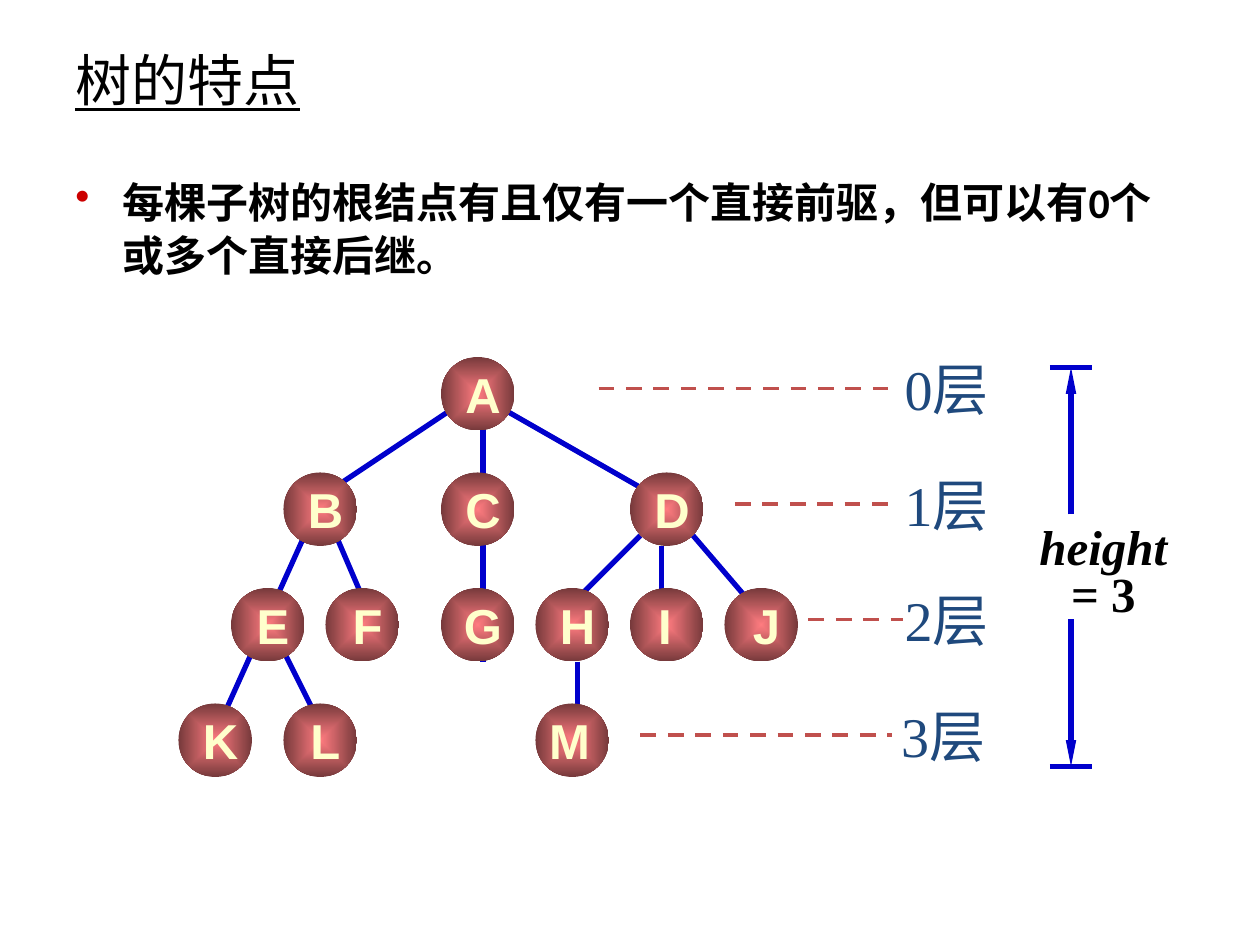
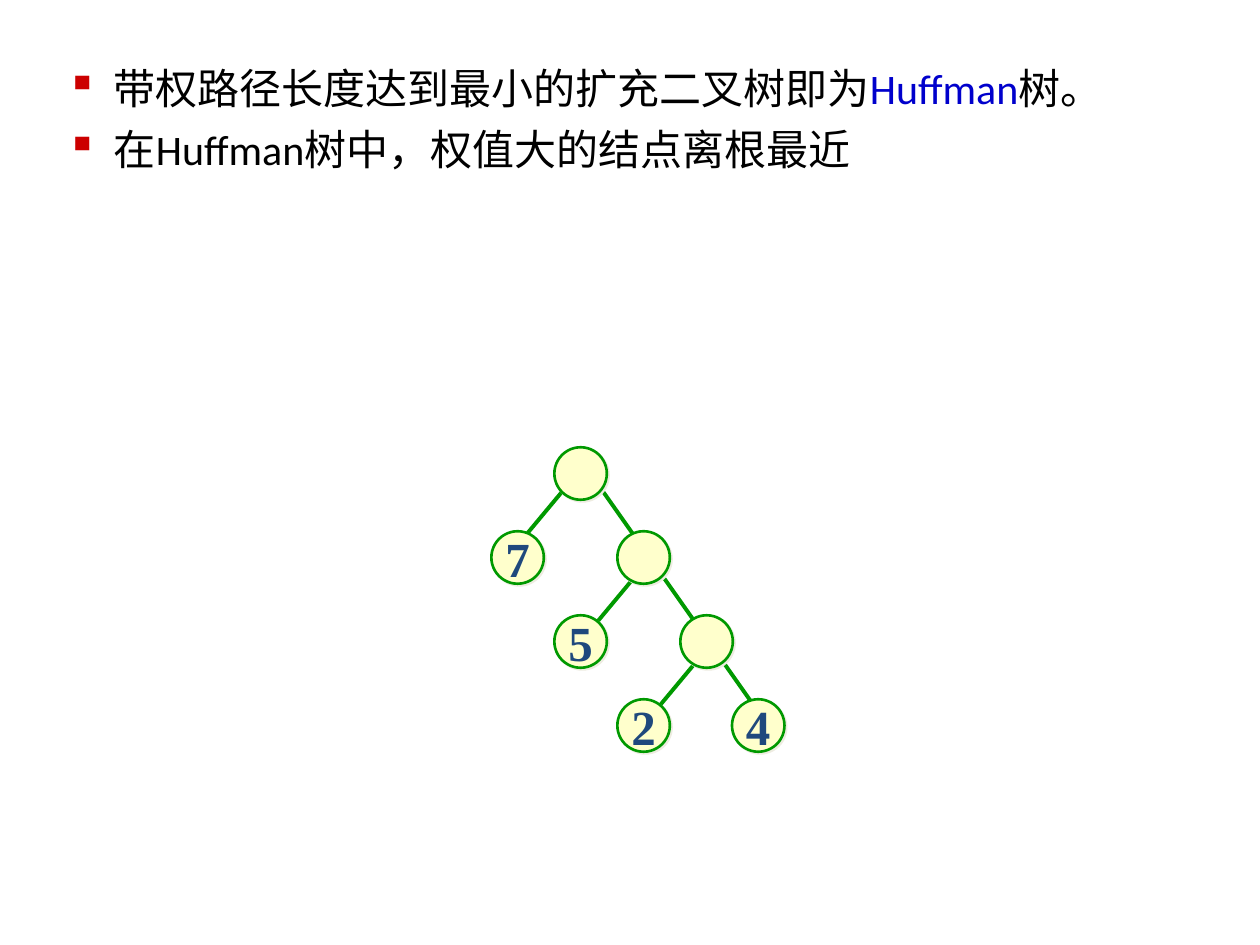
import pptx
import pptx.dml.color
import pptx.enum.dml
import pptx.enum.shapes
import pptx.enum.text
import pptx.oxml
import pptx.oxml.ns
import pptx.util

Pt = pptx.util.Pt
RGB = pptx.dml.color.RGBColor
qn = pptx.oxml.ns.qn
PP_ALIGN = pptx.enum.text.PP_ALIGN
MSO_ANCHOR = pptx.enum.text.MSO_ANCHOR

BLACK = RGB(0x00, 0x00, 0x00)
BLUE = RGB(0x00, 0x00, 0xCC)
NAVY = RGB(0x1F, 0x49, 0x7D)
BRICK = RGB(0xC0, 0x50, 0x4D)
PINK = RGB(0xFF, 0x7C, 0x80)
MAROON = RGB(0x76, 0x39, 0x3B)
CREAM = RGB(0xFF, 0xFF, 0xCC)
GREEN = RGB(0x00, 0x99, 0x00)
BULLET_RED = "CC0000"
SHADOW = "EEECE1"

BODY, SERIF, SANS = "Calibri", "Times New Roman", "Arial"

# Tree features: node name -> (left, level)
TITLE = "树的特点"
FEATURE = "每棵子树的根结点有且仅有一个直接前驱，但可以有0个或多个直接后继。"
TREE_NODES = {
    "A": (252, 0),
    "B": (162, 1), "C": (252, 1), "D": (360, 1),
    "E": (132, 2), "F": (186, 2), "G": (252, 2),
    "H": (306, 2), "I": (360, 2), "J": (414, 2),
    "K": (102, 3), "L": (162, 3), "M": (306, 3),
}
LETTER_SHIFT = {"I": -1, "M": -1.5}
TREE_EDGES = [
    (396, 306, 432, 348), (366, 306, 330, 342), (378, 312, 378, 342),
    (330, 378, 330, 414), (288, 234, 372, 282), (258, 234, 186, 282),
    (276, 240, 276, 378), (192, 306, 210, 348), (162, 372, 180, 408),
    (174, 306, 120, 426),
]
# (label, label centre, dash start, dash end)
LEVELS = [
    ("0层", 541, 342, 510),
    ("1层", 541, 420, 510),
    ("2层", 541, 462, 516),
    ("3层", 539, 366, 510),
]
HEIGHT_LABEL = ["height", [("= 3", {"italic": False})]]
HEIGHT_ARROWS = [(294, 210), (354, 438)]
TREE_TOP, LEVEL_STEP, TREE_NODE = 204, 66, 42

# Huffman tree: (weight, left, level)
HUFFMAN_POINTS = [
    ["带权路径长度达到最小的扩充二叉树即为", ("Huffman", {"color": BLUE}), "树。"],
    "在Huffman树中，权值大的结点离根最近",
]
HUFFMAN_NODES = [
    ("", 316.8, 0), ("", 388.8, 2), ("", 352.8, 1), ("4", 418.3, 3),
    ("7", 280.8, 1), ("2", 352.8, 3), ("5", 316.8, 2),
]
LEFT_EDGE_STARTS = [(322.5, 279.4), (364.5, 327.5), (400.5, 375)]
RIGHT_EDGE = (334.8, 267, 436.3, 411)
HUFFMAN_TOP, HUFFMAN_STEP, HUFFMAN_NODE = 255.6, 48, 30


def add_bullet(p, char):
    pPr = p._p.get_or_add_pPr()
    pPr.set("marL", str(Pt(27)))
    pPr.set("indent", str(-Pt(27)))
    color = pptx.oxml.ns.nsdecls("a")
    pPr.append(pptx.oxml.parse_xml(
        f'<a:buClr {color}><a:srgbClr val="{BULLET_RED}"/></a:buClr>'))
    pPr.append(pptx.oxml.parse_xml(f'<a:buChar {color} char="{char}"/>'))


def write(tf, paragraphs, size, font=BODY, color=BLACK, bold=False, italic=False,
          underline=False, align=PP_ALIGN.LEFT, anchor=MSO_ANCHOR.TOP, wrap=True,
          spacing=None, before=0, bullet=None):
    """Fill a text frame; a paragraph is a string or a list of runs."""
    tf.word_wrap = wrap
    tf.vertical_anchor = anchor
    for i, runs in enumerate(paragraphs):
        p = tf.add_paragraph() if i else tf.paragraphs[0]
        p.alignment = align
        if spacing:
            p.line_spacing = spacing
        if i and before:
            p.space_before = Pt(before)
        if bullet:
            add_bullet(p, bullet)
        for run in [runs] if isinstance(runs, str) else runs:
            text, change = (run, {}) if isinstance(run, str) else run
            r = p.add_run()
            r.text = text
            r.font.name = font
            r.font.size = Pt(size)
            r.font.bold = bold
            r.font.italic = change.get("italic", italic)
            r.font.underline = underline
            r.font.color.rgb = change.get("color", color)


def add_text(s, box, paragraphs, size, **fmt):
    tb = s.shapes.add_textbox(*map(Pt, box))
    write(tb.text_frame, paragraphs, size, **fmt)


def add_line(s, ends, color, width, dashed=False, arrow=False):
    line = s.shapes.add_connector(
        pptx.enum.shapes.MSO_CONNECTOR.STRAIGHT, *map(Pt, ends))
    line.line.color.rgb = color
    line.line.width = Pt(width)
    if dashed:
        line.line.dash_style = pptx.enum.dml.MSO_LINE.DASH
    spPr = line._element.spPr
    if arrow:
        end = spPr.find(qn("a:ln")).makeelement(
            qn("a:tailEnd"), {"type": "triangle", "w": "sm", "len": "lg"})
        spPr.find(qn("a:ln")).append(end)
    spPr.append(spPr.makeelement(qn("a:effectLst"), {}))


def add_node(s, x, y, size, label, shift=0, **fmt):
    """Add a circle whose label sits `shift` points right of its centre."""
    sp = s.shapes.add_shape(
        pptx.enum.shapes.MSO_SHAPE.OVAL, Pt(x), Pt(y), Pt(size), Pt(size))
    sp.shadow.inherit = False
    tf = sp.text_frame
    tf.margin_top = tf.margin_bottom = 0
    tf.margin_left, tf.margin_right = Pt(4 + shift), Pt(4 - shift)
    if label:
        write(tf, [label], 28, bold=True, align=PP_ALIGN.CENTER,
              anchor=MSO_ANCHOR.MIDDLE, wrap=False, **fmt)
    return sp


def fill_from_centre(sp, inner, outer):
    sp.fill.gradient()
    for stop, color, position in zip(sp.fill.gradient_stops, (inner, outer), (0, 1)):
        stop.color.rgb = color
        stop.position = position
    grad = sp._element.spPr.find(qn("a:gradFill"))
    grad.remove(grad.find(qn("a:lin")))
    shade = grad.makeelement(qn("a:path"), {"path": "rect"})
    shade.append(shade.makeelement(
        qn("a:fillToRect"), {side: "50000" for side in "ltrb"}))
    grad.append(shade)


def add_soft_shadow(sp):
    effects = sp._element.spPr.find(qn("a:effectLst"))
    effects.append(pptx.oxml.parse_xml(
        f'<a:outerShdw {pptx.oxml.ns.nsdecls("a")} dist="{Pt(1.4)}" dir="2700000">'
        f'<a:srgbClr val="{SHADOW}"/></a:outerShdw>'))


def build_features(s):
    for ends in TREE_EDGES:
        add_line(s, ends, BLUE, 3)
    add_text(s, (36, 18, 612, 54), [TITLE], 32, underline=True,
             anchor=MSO_ANCHOR.MIDDLE)
    add_text(s, (36, 96, 642, 102), [FEATURE], 24, bold=True, spacing=1.05,
             bullet="•")
    for name, (x, level) in TREE_NODES.items():
        sp = add_node(s, x, TREE_TOP + level * LEVEL_STEP, TREE_NODE, name,
                      LETTER_SHIFT.get(name, 3), font=SANS, color=CREAM)
        fill_from_centre(sp, PINK, MAROON)
        sp.line.fill.background()
    centred = {"font": SERIF, "align": PP_ALIGN.CENTER, "anchor": MSO_ANCHOR.MIDDLE}
    for level, (label, centre, start, end) in enumerate(LEVELS):
        y = TREE_TOP + 18 + level * LEVEL_STEP
        add_line(s, (start, y, end, y), BRICK, 2.25, dashed=True)
        add_text(s, (centre - 35, y - 23, 70, 46), [label], 32, color=NAVY,
                 wrap=False, **centred)
    add_text(s, (571, 298, 119, 61), HEIGHT_LABEL, 28, bold=True, italic=True,
             spacing=0.8, **centred)
    for inner, outer in HEIGHT_ARROWS:
        add_line(s, (600, outer, 624, outer), BLUE, 3)
        add_line(s, (612, inner, 612, outer), BLUE, 3, arrow=True)


def build_huffman(s):
    add_text(s, (31, 32, 652, 138), HUFFMAN_POINTS, 24, before=6, bullet="▪")
    left_edges = [(x, y, x - 30, y + 36) for x, y in LEFT_EDGE_STARTS]
    for ends in left_edges + [RIGHT_EDGE]:
        add_line(s, ends, GREEN, 2.25)
    for weight, x, level in HUFFMAN_NODES:
        sp = add_node(s, x, HUFFMAN_TOP + level * HUFFMAN_STEP, HUFFMAN_NODE,
                      weight, font=SERIF, color=NAVY)
        sp.fill.solid()
        sp.fill.fore_color.rgb = CREAM
        sp.line.color.rgb = GREEN
        sp.line.width = Pt(1.5)
        add_soft_shadow(sp)


def main():
    prs = pptx.Presentation()
    prs.slide_width, prs.slide_height = Pt(720), Pt(540)
    for build in (build_features, build_huffman):
        build(prs.slides.add_slide(prs.slide_layouts[6]))
    prs.save("out.pptx")


if __name__ == "__main__":
    main()
